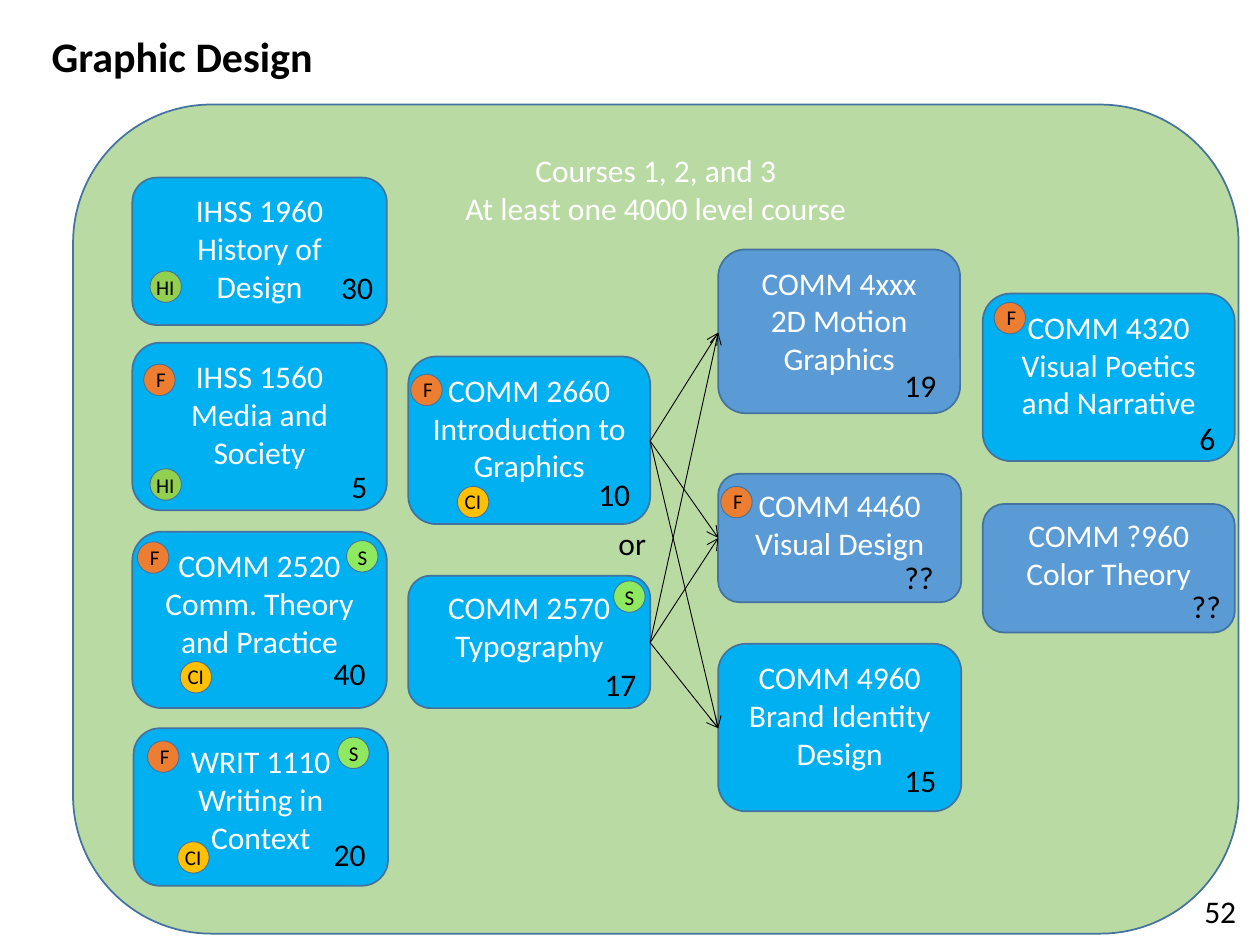
"""Build the Graphic Design course pathway slide."""
import itertools

import pptx
import pptx.dml.color
import pptx.enum.shapes
import pptx.enum.text
import pptx.oxml
import pptx.oxml.ns
import pptx.util
from pptx.util import Inches

RGBColor = pptx.dml.color.RGBColor
BLACK = RGBColor(0x00, 0x00, 0x00)
WHITE = RGBColor(0xFF, 0xFF, 0xFF)
OUTLINE = RGBColor(0x43, 0x73, 0x9E)
PANEL = RGBColor(0xA9, 0xD1, 0x8E)
CYAN = RGBColor(0x00, 0xB0, 0xF0)
BLUE = RGBColor(0x5B, 0x9B, 0xD5)
ORANGE = RGBColor(0xED, 0x7D, 0x31)
GREEN = RGBColor(0x92, 0xD0, 0x50)
LIME = RGBColor(0x8E, 0xE9, 0x61)
GOLD = RGBColor(0xFF, 0xC0, 0x00)

MSO = pptx.enum.shapes.MSO_SHAPE
ALIGN = pptx.enum.text.PP_ALIGN
ANCHOR = pptx.enum.text.MSO_ANCHOR
AUTO = pptx.enum.text.MSO_AUTO_SIZE
qn = pptx.oxml.ns.qn
nsdecls = pptx.oxml.ns.nsdecls

BOX_FRAME = {"word_wrap": True, "vertical_anchor": ANCHOR.TOP}
LABEL_FRAME = {"word_wrap": False, "auto_size": AUTO.SHAPE_TO_FIT_TEXT,
               "vertical_anchor": ANCHOR.TOP}


def write(sp, lines, frame, size, color, align=ALIGN.LEFT, bold=False):
    tf = sp.text_frame
    tf.text = "\n".join(lines)
    for name, value in frame.items():
        setattr(tf, name, value)
    font = {"name": "Calibri", "size": pptx.util.Pt(size), "bold": bold}
    for p in tf.paragraphs:
        p.alignment = align
        for r in p.runs:
            for name, value in font.items():
                setattr(r.font, name, value)
            r.font.color.rgb = color


def add_shape(shapes, kind, box, fill, width):
    sp = shapes.add_shape(kind, *map(Inches, box))
    sp.shadow.inherit = False
    sp.fill.solid()
    sp.fill.fore_color.rgb = fill
    sp.line.color.rgb = OUTLINE
    sp.line.width = pptx.util.Pt(width)
    return sp


prs = pptx.Presentation()
prs.slide_width, prs.slide_height = Inches(10), Inches(7.5)
s = prs.slides.add_slide(prs.slide_layouts[5])

title = s.shapes.title
title.left, title.top, title.width, title.height = map(Inches, (0.31, 0.19, 2.29, 0.5))
write(title, ["Graphic Design"], LABEL_FRAME, 24, BLACK, bold=True)

panel = add_shape(s.shapes, MSO.ROUNDED_RECTANGLE, (0.58, 0.83, 9.25, 6.58), PANEL, 1)
write(panel, ["Courses 1, 2, and 3", "At least one 4000 level course"],
      BOX_FRAME, 18, WHITE, ALIGN.CENTER)
color = panel.fill._xPr.find(qn("a:solidFill"))[0]
color.append(pptx.oxml.parse_xml(f'<a:alpha {nsdecls("a")} val="80000"/>'))

courses = [
    (1.05, 1.41, 2.02, 1.17, CYAN, "IHSS 1960", "History of Design"),
    (1.05, 2.72, 2.02, 1.33, CYAN, "IHSS 1560", "Media and Society"),
    (1.05, 4.22, 2.02, 1.4, CYAN, "COMM 2520", "Comm. Theory and Practice"),
    (1.06, 5.78, 2.02, 1.25, CYAN, "WRIT 1110", "Writing in Context"),
    (3.24, 2.83, 1.92, 1.33, CYAN, "COMM 2660", "Introduction to Graphics"),
    (3.24, 4.57, 1.92, 1.05, CYAN, "COMM 2570", "Typography"),
    (5.7, 1.98, 1.92, 1.3, BLUE, "COMM 4xxx", "2D Motion Graphics"),
    (5.7, 3.76, 1.93, 1.02, BLUE, "COMM 4460", "Visual Design"),
    (5.7, 5.11, 1.93, 1.33, CYAN, "COMM 4960", "Brand Identity Design"),
    (7.8, 2.33, 2, 1.33, CYAN, "COMM 4320", "Visual Poetics and Narrative"),
    (7.8, 4, 2, 1.02, BLUE, "COMM ?960", "Color Theory"),
]
for *box, fill, code, name in courses:
    sp = add_shape(s.shapes, MSO.ROUNDED_RECTANGLE, box, fill, 1)
    write(sp, [code, name], BOX_FRAME, 18, WHITE, ALIGN.CENTER)

badges = {
    "HI": (GREEN, -0.05, -0.02, 0.35, [(1.19, 2.15), (1.19, 3.72)]),
    "CI": (GOLD, -0.04, -0.03, 0.33, [(1.43, 5.25), (3.63, 3.86), (1.41, 6.68)]),
    "F": (ORANGE, 0, -0.03, 0.28, [(1.14, 2.89), (3.26, 2.97), (7.89, 2.4),
                                   (5.72, 3.86), (1.09, 4.3), (1.17, 5.88)]),
    "S": (LIME, -0.01, -0.02, 0.28, [(2.75, 4.29), (4.87, 4.61), (2.68, 5.85)]),
}
for text, (fill, dx, dy, width, spots) in badges.items():
    for x, y in spots:
        group = s.shapes.add_group_shape()
        add_shape(group.shapes, MSO.OVAL, (x, y, 0.25, 0.25), fill, 0.5)
        label = group.shapes.add_textbox(*map(Inches, (x + dx, y + dy, width, 0.3)))
        write(label, [text], LABEL_FRAME, 12, BLACK)

for y1, y2 in itertools.product((3.5, 5.1), (2.64, 4.27, 5.78)):
    arrow = s.shapes.add_connector(pptx.enum.shapes.MSO_CONNECTOR.STRAIGHT,
                                   *map(Inches, (5.16, y1, 5.7, y2)))
    arrow.line.color.rgb = BLACK
    arrow.line.width = pptx.util.Pt(0.5)
    props = arrow._element.spPr
    props.find(qn("a:ln")).append(
        pptx.oxml.parse_xml(f'<a:tailEnd {nsdecls("a")} type="arrow"/>'))
    props.append(pptx.oxml.parse_xml(f'<a:effectLst {nsdecls("a")}/>'))

numbers = [
    (2.61, 2.08, 0.46, "30"), (2.69, 3.66, 0.33, "5"), (2.55, 5.14, 0.46, "40"),
    (2.55, 6.58, 0.46, "20"), (4.65, 3.72, 0.46, "10"), (4.81, 4.11, 0.42, "or"),
    (4.7, 5.23, 0.46, "17"), (7.08, 2.86, 0.46, "19"), (7.08, 4.38, 0.44, "??"),
    (7.08, 5.99, 0.46, "15"), (9.42, 3.28, 0.33, "6"), (9.36, 4.61, 0.44, "??"),
    (9.46, 7.03, 0.46, "52"),
]
for x, y, width, text in numbers:
    label = s.shapes.add_textbox(*map(Inches, (x, y, width, 0.4)))
    write(label, [text], LABEL_FRAME, 18, BLACK)

prs.save("out.pptx")
